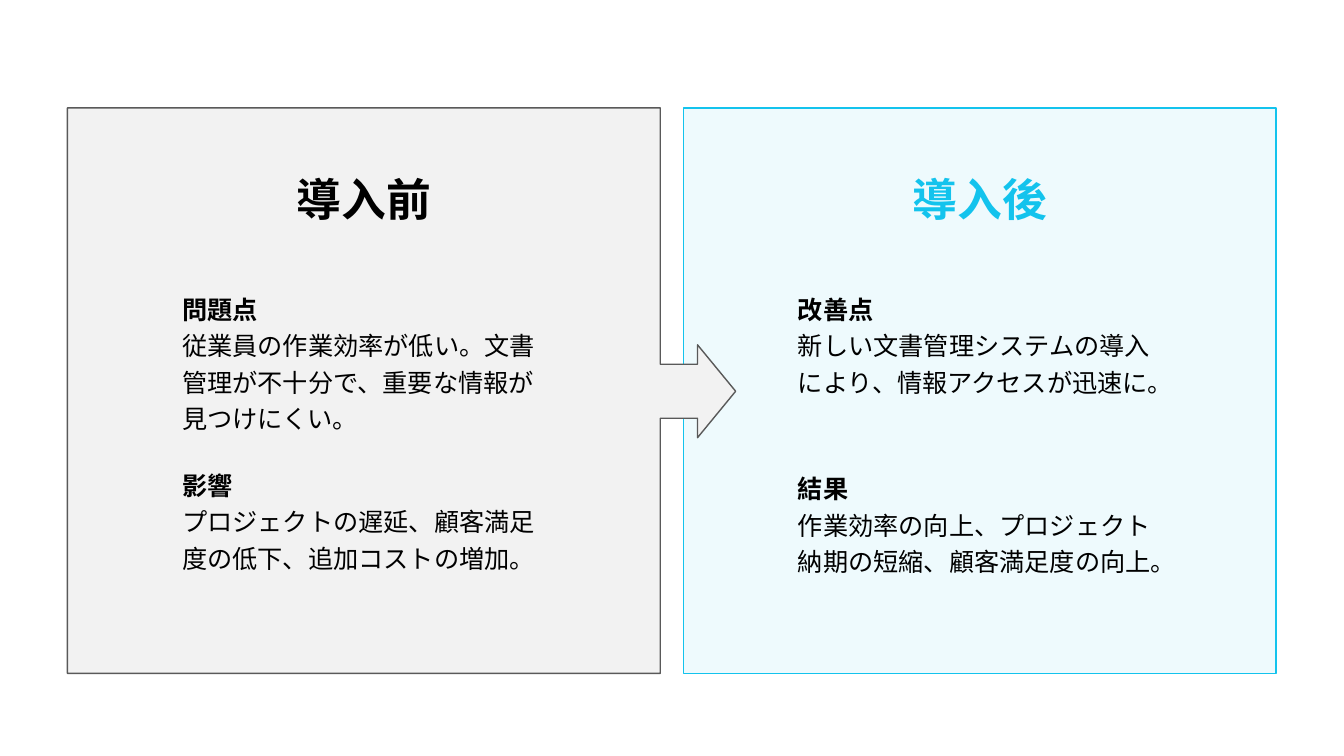
from lxml.etree import SubElement
from pptx import Presentation
from pptx.dml.color import RGBColor
from pptx.enum.shapes import MSO_SHAPE as Preset
from pptx.enum.text import MSO_AUTO_SIZE as AutoSize, PP_ALIGN as Align
from pptx.oxml.ns import qn
from pptx.util import Cm, Pt

CYAN, BLACK, GREY, DARK_GREY = "13C3ED", "000000", "F2F2F2", "595959"
PANEL_LEFT, PANEL_TOP, PANEL_WIDTH, PANEL_HEIGHT = 1.7, 2.72, 14.94, 14.25
COLUMN_STEP = 15.52
TITLE_WIDTH, BODY_WIDTH, BODY_LEFT = 9.35, 9.8, 4.34


def rgb(value):
    return RGBColor.from_string(value)


class ComparisonSlide:
    font = "Noto Sans CJK JP"
    line_spacing = 1.2

    def __init__(self, presentation):
        self.slide = presentation.slides.add_slide(presentation.slide_layouts[6])

    def paint(self, shape, fill, line, opacity=100):
        shape.shadow.inherit = False
        shape.fill.solid()
        shape.fill.fore_color.rgb = rgb(fill)
        shape.line.color.rgb = rgb(line)
        shape.line.width = Pt(1)
        if opacity < 100:
            color = shape.fill._xPr.find(qn("a:solidFill"))[0]
            SubElement(color, qn("a:alpha"), val=str(opacity * 1000))

    def panel(self, left, top, width, height, color, opacity):
        panel = self.slide.shapes.add_shape(
            Preset.RECTANGLE, Cm(left), Cm(top), Cm(width), Cm(height))
        self.paint(panel, color, color, opacity)

    def outline(self, points, fill, line):
        corners = [(Cm(x), Cm(y)) for x, y in points]
        builder = self.slide.shapes.build_freeform(*corners[0])
        builder.add_line_segments(corners[1:], close=True)
        self.paint(builder.convert_to_shape(), fill, line)

    def text(self, left, top, width, height, lines, size, color=BLACK, align=Align.LEFT):
        box = self.slide.shapes.add_textbox(Cm(left), Cm(top), Cm(width), Cm(height))
        frame = box.text_frame
        frame.word_wrap = True
        frame.auto_size = AutoSize.SHAPE_TO_FIT_TEXT
        frame.text = "\n".join(lines)
        for index, paragraph in enumerate(frame.paragraphs):
            paragraph.alignment = align
            paragraph.line_spacing = self.line_spacing
            for run in paragraph.runs:
                run.font.size = Pt(size)
                run.font.bold = index == 0
                run.font.color.rgb = rgb(color)
                run.font.name = self.font
                SubElement(run.font._element, qn("a:ea"), typeface=self.font)

    def title(self, column, wording, color):
        left = PANEL_LEFT + (PANEL_WIDTH - TITLE_WIDTH) / 2 + column * COLUMN_STEP
        self.text(left, 3.94, TITLE_WIDTH, 1.75, [wording], 32, color, Align.CENTER)

    def section(self, column, top, height, heading, body):
        left = BODY_LEFT + column * COLUMN_STEP
        self.text(left, top, BODY_WIDTH, height, [heading, body], 18)


def main():
    presentation = Presentation()
    presentation.slide_width, presentation.slide_height = Cm(33.87), Cm(19.05)
    comparison = ComparisonSlide(presentation)

    comparison.panel(PANEL_LEFT + COLUMN_STEP, PANEL_TOP, PANEL_WIDTH, PANEL_HEIGHT, CYAN, 7)

    right, bottom = PANEL_LEFT + PANEL_WIDTH, PANEL_TOP + PANEL_HEIGHT
    head_left, tip, middle = 17.58, 18.54, 9.86
    shaft_half, head_half = 0.68, 1.17
    comparison.outline([
        (PANEL_LEFT, PANEL_TOP), (right, PANEL_TOP),
        (right, middle - shaft_half), (head_left, middle - shaft_half),
        (head_left, middle - head_half), (tip, middle), (head_left, middle + head_half),
        (head_left, middle + shaft_half), (right, middle + shaft_half),
        (right, bottom), (PANEL_LEFT, bottom),
    ], GREY, DARK_GREY)

    comparison.title(0, "導入前", BLACK)
    comparison.title(1, "導入後", CYAN)

    sections = [
        (0, 7.14, 3.86, "問題点", "従業員の作業効率が低い。文書管理が不十分で、重要な情報が見つけにくい。"),
        (0, 11.58, 2.95, "影響", "プロジェクトの遅延、顧客満足度の低下、追加コストの増加。"),
        (1, 7.14, 2.95, "改善点", "新しい文書管理システムの導入により、情報アクセスが迅速に。"),
        (1, 11.66, 2.95, "結果", "作業効率の向上、プロジェクト納期の短縮、顧客満足度の向上。"),
    ]
    for section in sections:
        comparison.section(*section)

    presentation.save("out.pptx")


if __name__ == "__main__":
    main()
